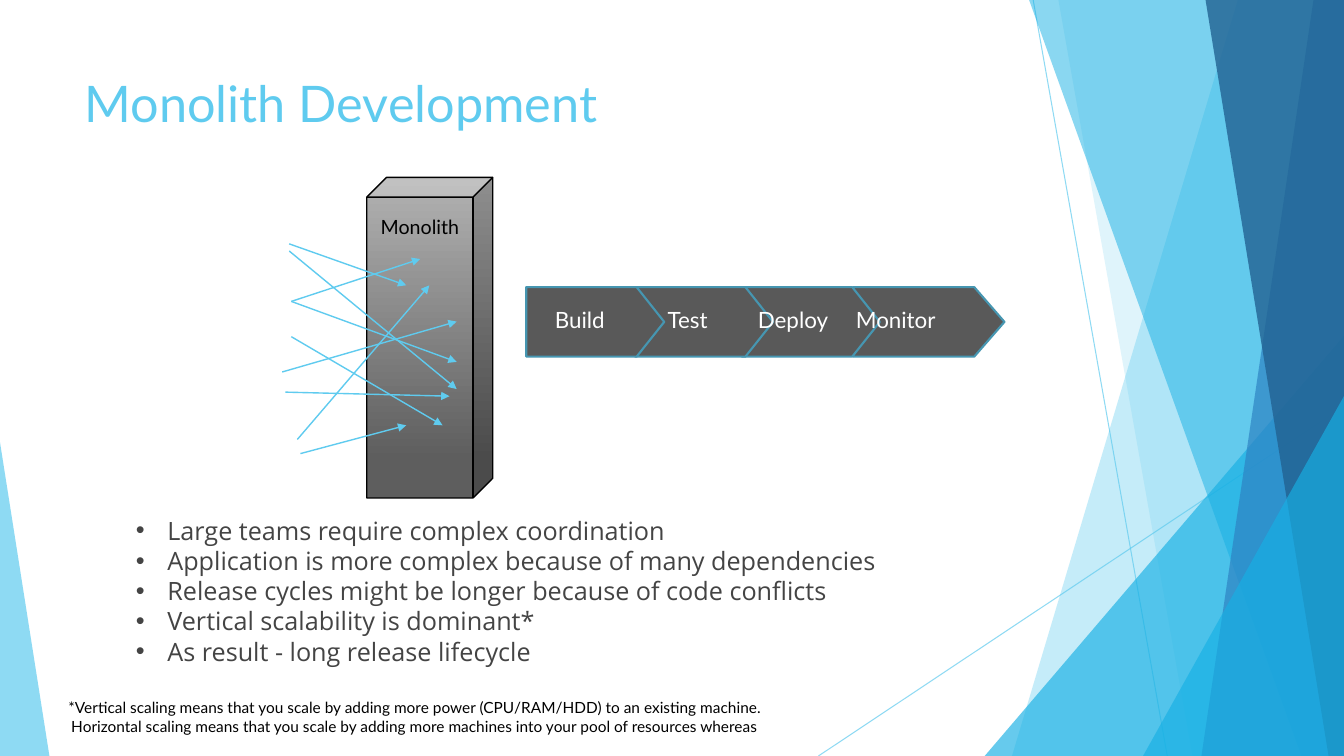
"""Build the Monolith Development slide."""
from lxml import etree
from pptx import Presentation
from pptx.dml.color import RGBColor
from pptx.enum.shapes import MSO_CONNECTOR, MSO_SHAPE
from pptx.enum.text import MSO_ANCHOR, PP_ALIGN
from pptx.oxml.ns import qn
from pptx.util import Pt

STRAIGHT = MSO_CONNECTOR.STRAIGHT
TRIANGLE = MSO_SHAPE.ISOSCELES_TRIANGLE
CUBE = MSO_SHAPE.CUBE
STAGE = MSO_SHAPE.FLOWCHART_OFFPAGE_CONNECTOR
TOP = MSO_ANCHOR.TOP
CENTER = PP_ALIGN.CENTER

SKY = RGBColor(0x5F, 0xCB, 0xEF)
CYAN = RGBColor(0x17, 0xB0, 0xE4)
BLUE = RGBColor(0x2E, 0x83, 0xC3)
NAVY = RGBColor(0x22, 0x62, 0x92)
TEAL = RGBColor(0x46, 0x96, 0xB1)
LIGHT_GRAY = RGBColor(0xB2, 0xB2, 0xB2)
GRAY = RGBColor(0x5E, 0x5E, 0x5E)
STAGE_GRAY = RGBColor(0x59, 0x59, 0x59)
TEXT_GRAY = RGBColor(0x44, 0x44, 0x44)
BLACK = RGBColor(0, 0, 0)
WHITE = RGBColor(0xFF, 0xFF, 0xFF)

WIDTH, HEIGHT = 960, 540

presentation = Presentation()
presentation.slide_width = Pt(WIDTH)
presentation.slide_height = Pt(HEIGHT)
slide = presentation.slides.add_slide(presentation.slide_layouts[6])
shapes = slide.shapes


def add_line(start, end, width):
    connector = shapes.add_connector(STRAIGHT, Pt(start[0]), Pt(start[1]), Pt(end[0]), Pt(end[1]))
    connector.line.color.rgb = SKY
    connector.line.width = Pt(width)
    etree.SubElement(connector._element.spPr, qn("a:effectLst"))
    return connector


def add_text(left, top, width, height, text, font, size, color):
    box = shapes.add_textbox(Pt(left), Pt(top), Pt(width), Pt(height))
    box.text_frame.word_wrap = True
    box.text_frame.text = text
    for paragraph in box.text_frame.paragraphs:
        for run in paragraph.runs:
            run.font.name = font
            run.font.size = Pt(size)
            run.font.color.rgb = color
    return box.text_frame


backdrop = [
    (add_line((738, 0), (833.8, HEIGHT), 0.75), 70),
    (add_line((WIDTH, 290.2), (584.6, HEIGHT), 0.75), 70),
]

facets = [
    ("panel", (884.2, 722.9), SKY, 36),
    ("panel", (756, 851.8), SKY, 20),
    ("triangle", (703.4, 239.8, 256.6, 1), CYAN, 66),
    ("panel", (735.1, 929.5), CYAN, 50),
    ("panel", (938.2, 858.2), BLUE, 70),
    ("panel", (861.1, 949), NAVY, 80),
    ("triangle", (816.5, 283, 143.5, 1), CYAN, 66),
    ("triangle", (0, 316, 35.3, 0), SKY, 70),
]
for kind, geometry, color, opacity in facets:
    if kind == "panel":
        top_x, bottom_x = geometry
        builder = shapes.build_freeform(Pt(top_x), 0)
        corners = [(WIDTH, 0), (WIDTH, HEIGHT), (bottom_x, HEIGHT)]
        builder.add_line_segments([(Pt(x), Pt(y)) for x, y in corners])
        facet = builder.convert_to_shape()
    else:
        left, top, width, apex = geometry
        facet = shapes.add_shape(TRIANGLE, Pt(left), Pt(top), Pt(width), Pt(HEIGHT - top))
        facet.adjustments[0] = apex
    facet.shadow.inherit = False
    facet.fill.solid()
    facet.fill.fore_color.rgb = color
    facet.line.fill.background()
    backdrop.append((facet, opacity))

for shape, opacity in backdrop:
    for color_element in shape._element.spPr.iter(qn("a:srgbClr")):
        etree.SubElement(color_element, qn("a:alpha")).set("val", str(opacity * 1000))

add_text(53.3, 48.2, 676.8, 103.7, "Monolith Development", "Lato", 36, SKY)

monolith = shapes.add_shape(CUBE, Pt(262), Pt(126.7), Pt(90), Pt(229))
monolith.adjustments[0] = 0.157
monolith.shadow.inherit = False
monolith.fill.gradient()
monolith.fill.gradient_angle = 270
for stop, position, color in zip(monolith.fill.gradient_stops, (0, 0.88), (LIGHT_GRAY, GRAY)):
    stop.position = position
    stop.color.rgb = color
monolith.line.color.rgb = BLACK
monolith.line.width = Pt(1)
monolith.text_frame.text = "Monolith"
monolith.text_frame.vertical_anchor = TOP
monolith.text_frame.margin_top = Pt(13)
monolith_label = monolith.text_frame.paragraphs[0]
monolith_label.alignment = CENTER
monolith_label.font.name = "Lato"
monolith_label.font.size = Pt(14)
monolith_label.font.color.rgb = BLACK

STAGE_MIDDLE, STAGE_HEIGHT = 229.9, 49.7
for center, length in [(663.5, 108), (579.2, 98.6), (502.9, 98.6), (425.2, 98.6)]:
    stage = shapes.add_shape(
        STAGE, Pt(center - STAGE_HEIGHT / 2), Pt(STAGE_MIDDLE - length / 2), Pt(STAGE_HEIGHT), Pt(length)
    )
    stage.rotation = 270
    stage.shadow.inherit = False
    stage.fill.solid()
    stage.fill.fore_color.rgb = STAGE_GRAY
    stage.line.color.rgb = TEAL
    stage.line.width = Pt(1.5)

for left, name in [(396.5, "Build"), (477, "Test"), (541.5, "Deploy"), (611.5, "Monitor")]:
    label = add_text(left - 7.2, 215.3, 80, 26.6, name, "Lato", 16, WHITE)
    label.word_wrap = False

calls = [
    ((206.6, 179.3), (326.2, 277.9)),
    ((212.4, 313.9), (306.7, 203.8)),
    ((201.6, 265.7), (326.2, 229.7)),
    ((208.1, 215.3), (326.2, 258.5)),
    ((208.1, 240.5), (316.1, 303.8)),
    ((203.8, 280.1), (321.1, 283)),
    ((214.6, 324), (290.2, 303.8)),
    ((208.1, 215.3), (300.2, 185)),
    ((206.6, 174.2), (290.2, 203.8)),
]
for start, end in calls:
    call = add_line(start, end, 1)
    etree.SubElement(call.line._get_or_add_ln(), qn("a:tailEnd")).set("type", "triangle")

drawbacks = [
    "Large teams require complex coordination",
    "Application is more complex because of many dependencies",
    "Release cycles might be longer because of code conflicts",
    "Vertical scalability is dominant*",
    "As result - long release lifecycle",
]
drawback_frame = add_text(90, 364.3, 580.3, 116.6, "\n".join(drawbacks), "Open Sans", 18, TEXT_GRAY)
for paragraph in drawback_frame.paragraphs:
    paragraph.line_spacing = Pt(21.6)
    properties = paragraph._p.get_or_add_pPr()
    properties.set("marL", str(Pt(22.5)))
    properties.set("indent", str(Pt(-22.5)))
    etree.SubElement(properties, qn("a:buFont")).set("typeface", "Arial")
    etree.SubElement(properties, qn("a:buChar")).set("char", "•")

footnotes = [
    "*Vertical scaling means that you scale by adding more power (CPU/RAM/HDD) to an existing machine.",
    "Horizontal scaling means that you scale by adding more machines into your pool of resources whereas",
]
footnote_frame = add_text(41.8, 495.4, 580.3, 33.8, "\n".join(footnotes), "Lato", 11, BLACK)
footnote_frame.paragraphs[1]._p.get_or_add_pPr().set("marL", str(Pt(2)))

presentation.save("out.pptx")
